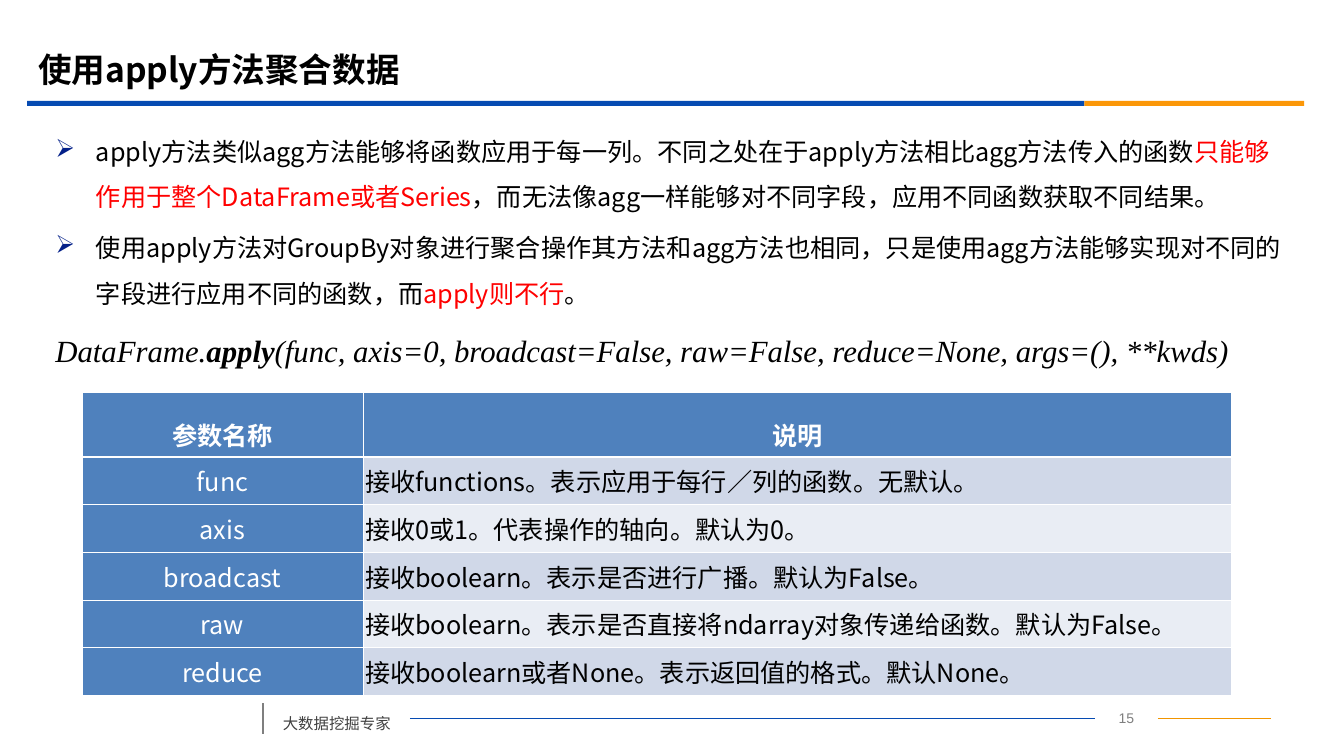
from lxml import etree
from pptx import Presentation
from pptx.dml.color import RGBColor
from pptx.enum import shapes, text
from pptx.oxml import ns
from pptx.util import Pt

COLORS = {
    "black": "000000", "white": "FFFFFF", "red": "FF0000",
    "blue": "064BB2", "orange": "FB9708", "footer_orange": "F19500",
    "bullet": "032089", "gray": "7F7F7F", "footer_text": "404040",
    "header": "4F81BD", "odd_row": "D0D8E8", "even_row": "E9EDF4",
}
SANS, SERIF = "Noto Sans CJK SC", "Times New Roman"

TITLE = "使用apply方法聚合数据"
# Each paragraph is a list of (text, format) pairs.
BULLETS = [
    [("apply方法类似agg方法能够将函数应用于每一列。不同之处在于apply方法相比agg方法传入的函数", {}),
     ("只能够作用于整个DataFrame或者Series", {"color": "red"}),
     ("，而无法像agg一样能够对不同字段，应用不同函数获取不同结果。", {})],
    [("使用apply方法对GroupBy对象进行聚合操作其方法和agg方法也相同，只是使用agg方法能够实现对不同的字段进行应用不同的函数，而", {}),
     ("apply则不行", {"color": "red"}),
     ("。", {})],
]
SIGNATURE_FORMAT = {"size": 22, "font": SERIF, "italic": True}
SIGNATURE = [
    ("DataFrame.", SIGNATURE_FORMAT),
    ("apply", {**SIGNATURE_FORMAT, "bold": True}),
    ("(func, axis=0, broadcast=False, raw=False, reduce=None, args=(), **kwds)", SIGNATURE_FORMAT),
]
PARAMETERS = [
    ("参数名称", "说明"),
    ("func", "接收functions。表示应用于每行／列的函数。无默认。"),
    ("axis", "接收0或1。代表操作的轴向。默认为0。"),
    ("broadcast", "接收boolearn。表示是否进行广播。默认为False。"),
    ("raw", "接收boolearn。表示是否直接将ndarray对象传递给函数。默认为False。"),
    ("reduce", "接收boolearn或者None。表示返回值的格式。默认None。"),
]
FOOTER, PAGE_NUMBER = "大数据挖掘专家", "15"

# (left, top, width, height, colour)
TITLE_BARS = [(19.5, 72, 755.5, 3.6, "blue"), (775, 72, 157, 3.6, "orange")]
# (x1, y1, x2, y2, colour, line width)
FOOTER_LINES = [
    (827.5, 513, 908, 513, "footer_orange", 0.75),
    (293, 513, 782.5, 513, "blue", 0.75),
    (188, 502.5, 188, 524, "gray", 1.25),
]
COLUMN_WIDTHS = (201, 620.5)
HEADER_HEIGHT, ROW_HEIGHT = 46, 34


def rgb(name):
    return RGBColor.from_string(COLORS[name])


def add_span(para, content, size=18, font=SANS, color="black", bold=False, italic=False):
    span = para.add_run()
    span.text = content
    span.font.size, span.font.name = Pt(size), font
    span.font.bold, span.font.italic = bold, italic
    span.font.color.rgb = rgb(color)
    east_asian = etree.Element(ns.qn("a:ea"), typeface=font)
    span.font._element.find(ns.qn("a:latin")).addnext(east_asian)


def add_text_box(page, left, top, width, height):
    box = page.shapes.add_textbox(Pt(left), Pt(top), Pt(width), Pt(height))
    box.text_frame.word_wrap = True
    return box.text_frame


def set_hanging_indent(para, bullet=None):
    props = para._p.get_or_add_pPr()
    props.set("marL", str(Pt(29)))
    props.set("indent", str(-Pt(29)))
    if bullet:
        color = etree.SubElement(props, ns.qn("a:buClr"))
        etree.SubElement(color, ns.qn("a:srgbClr"), val=COLORS["bullet"])
        etree.SubElement(props, ns.qn("a:buChar"), char=bullet)


def set_borders(cell, top, bottom):
    props = cell._tc.get_or_add_tcPr()
    widths = {"lnL": 0.45, "lnR": 0.45, "lnT": top, "lnB": bottom}
    for position, (side, width) in enumerate(widths.items()):
        line = etree.Element(ns.qn(f"a:{side}"), w=str(Pt(width)))
        fill = etree.SubElement(line, ns.qn("a:solidFill"))
        etree.SubElement(fill, ns.qn("a:srgbClr"), val=COLORS["white"])
        props.insert(position, line)


def add_title(page):
    title = page.shapes.title
    title.left, title.top, title.width, title.height = Pt(20), Pt(28), Pt(864), Pt(42)
    title.text_frame.vertical_anchor = text.MSO_ANCHOR.MIDDLE
    para = title.text_frame.paragraphs[0]
    para.alignment = text.PP_ALIGN.LEFT
    add_span(para, TITLE, size=24, bold=True)
    for left, top, width, height, color in TITLE_BARS:
        bar = page.shapes.add_shape(shapes.MSO_SHAPE.RECTANGLE, Pt(left), Pt(top), Pt(width), Pt(height))
        bar.shadow.inherit = False
        bar.fill.solid()
        bar.fill.fore_color.rgb = rgb(color)
        bar.line.fill.background()


def add_body(page):
    frame = add_text_box(page, 32.5, 83, 893.5, 344)
    for index, spans in enumerate([*BULLETS, SIGNATURE]):
        para = frame.add_paragraph() if index else frame.paragraphs[0]
        para.line_spacing = 1.5
        if index:
            para.space_before = Pt(4)
        set_hanging_indent(para, bullet="➢" if spans is not SIGNATURE else None)
        for content, style in spans:
            add_span(para, content, **style)


def add_parameter_table(page):
    height = HEADER_HEIGHT + ROW_HEIGHT * (len(PARAMETERS) - 1)
    table = page.shapes.add_table(len(PARAMETERS), len(COLUMN_WIDTHS), Pt(58.5), Pt(280.5),
                                  Pt(sum(COLUMN_WIDTHS)), Pt(height)).table
    for column, width in zip(table.columns, COLUMN_WIDTHS):
        column.width = Pt(width)
    for r, row in enumerate(PARAMETERS):
        table.rows[r].height = Pt(ROW_HEIGHT if r else HEADER_HEIGHT)
        for c, content in enumerate(row):
            label = r == 0 or c == 0
            cell = table.cell(r, c)
            cell.margin_left = cell.margin_right = Pt(1.4)
            cell.vertical_anchor = text.MSO_ANCHOR.MIDDLE
            cell.fill.solid()
            cell.fill.fore_color.rgb = rgb("header" if label else "odd_row" if r % 2 else "even_row")
            set_borders(cell, top=1.47 if r == 1 else 0.45, bottom=0.45 if r else 1.47)
            para = cell.text_frame.paragraphs[0]
            para.alignment = text.PP_ALIGN.CENTER if label else text.PP_ALIGN.JUSTIFY
            para.line_spacing = 1.0 if r else 1.5
            add_span(para, content, color="white" if label else "black", bold=r == 0)


def add_footer(page):
    para = add_text_box(page, 195, 500, 98, 27).paragraphs[0]
    para.line_spacing = 1.5
    add_span(para, FOOTER, size=11, color="footer_text")
    para = add_text_box(page, 782.5, 503.5, 45, 18).paragraphs[0]
    para.alignment = text.PP_ALIGN.CENTER
    add_span(para, PAGE_NUMBER, size=10, font="Arial", color="gray")
    for x1, y1, x2, y2, color, width in FOOTER_LINES:
        line = page.shapes.add_connector(shapes.MSO_CONNECTOR.STRAIGHT, Pt(x1), Pt(y1), Pt(x2), Pt(y2))
        line.line.color.rgb = rgb(color)
        line.line.width = Pt(width)
        etree.SubElement(line._element.spPr, ns.qn("a:effectLst"))


def main():
    deck = Presentation()
    deck.slide_width, deck.slide_height = Pt(960.5), Pt(540)
    page = deck.slides.add_slide(deck.slide_layouts[5])
    add_title(page)
    add_body(page)
    add_parameter_table(page)
    add_footer(page)
    deck.save("out.pptx")


if __name__ == "__main__":
    main()
